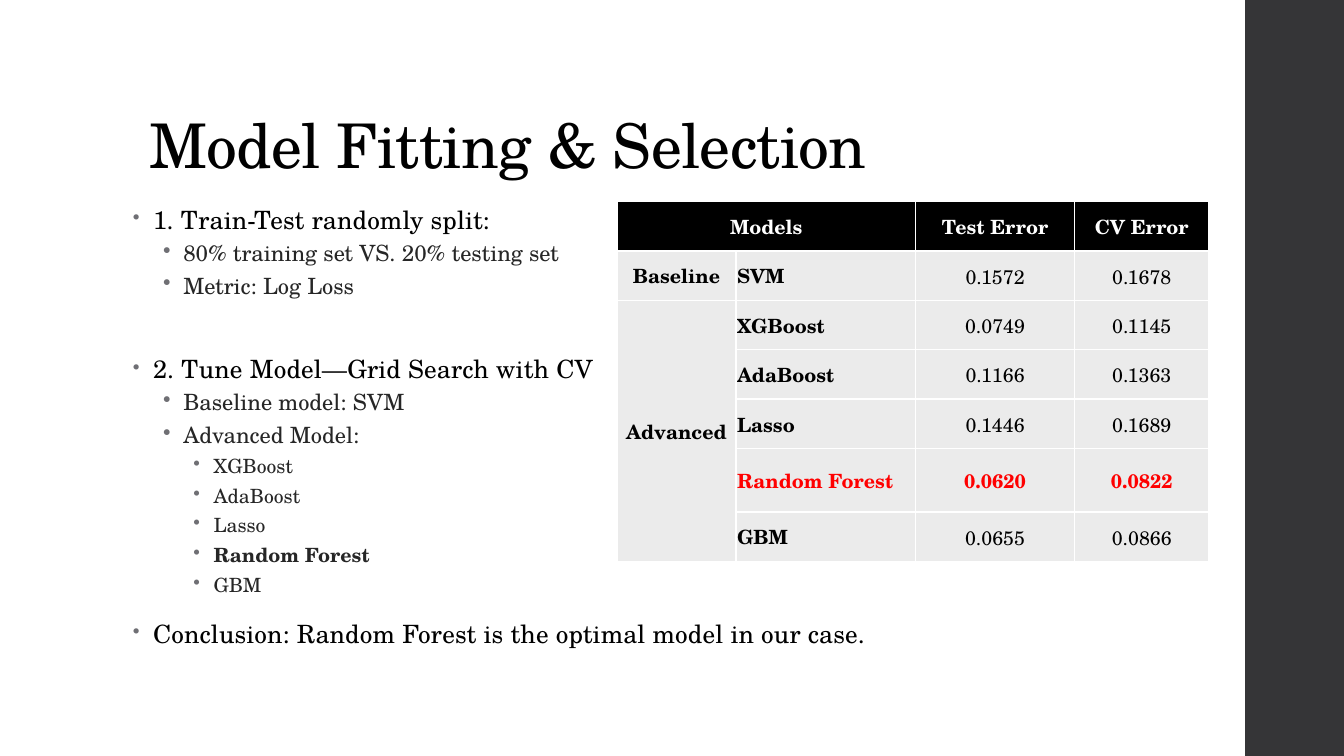
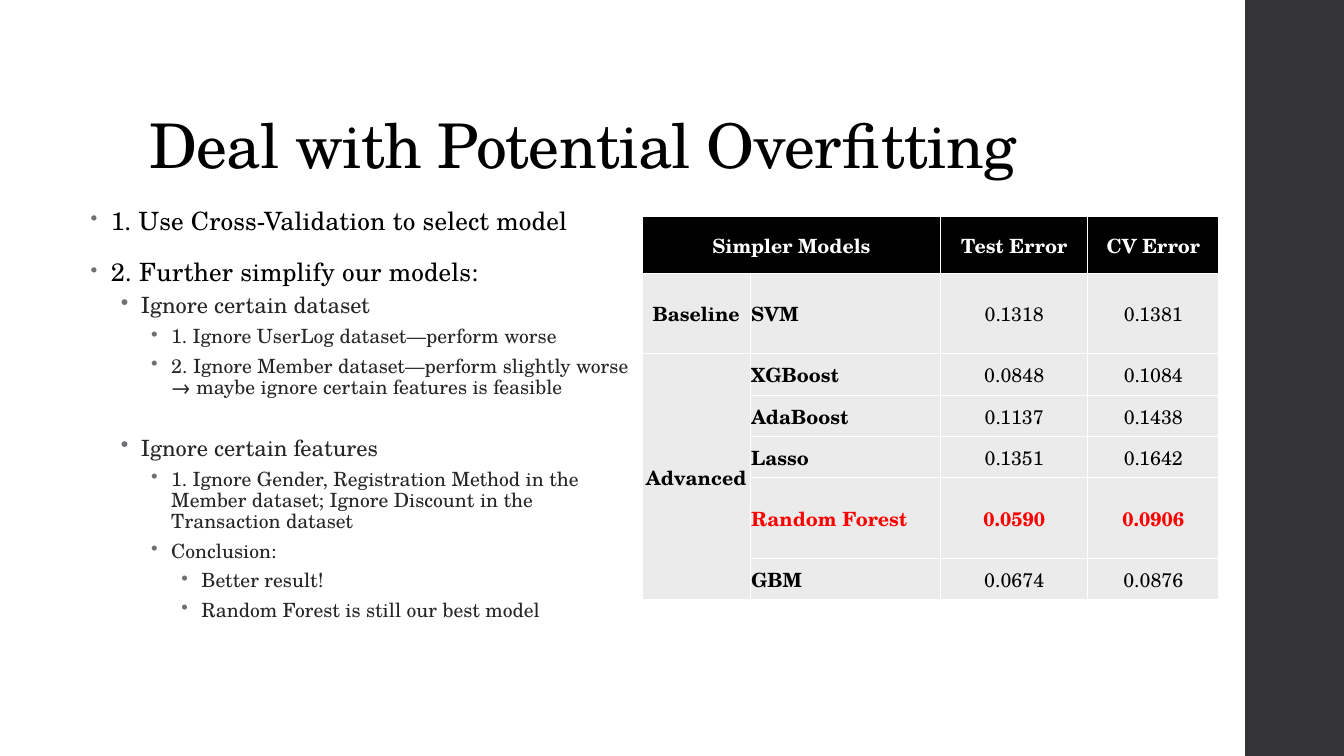
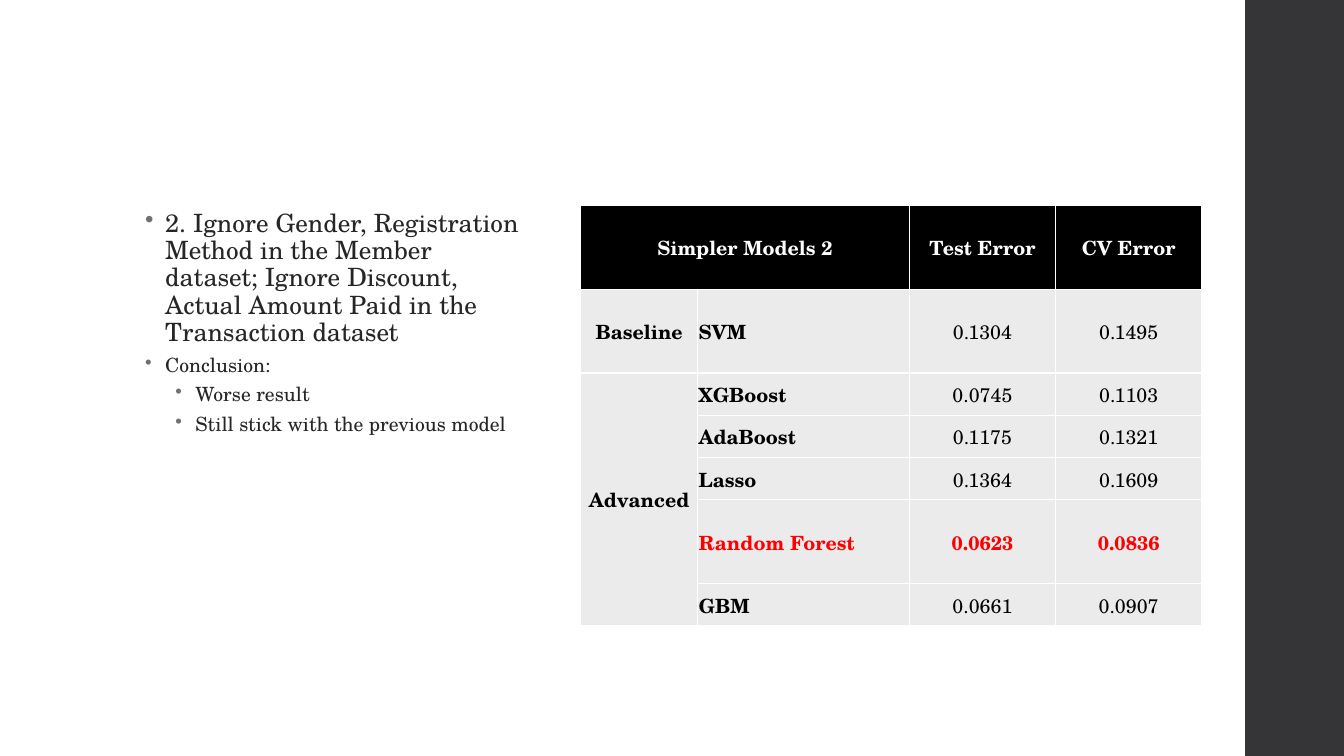
from lxml import etree
from pptx import Presentation
from pptx.dml import color as dml
from pptx.enum import shapes, text
from pptx.oxml import ns
from pptx.util import Inches, Pt

FONT = "TeX Gyre Schola"
BLACK, WHITE, RED = "000000", "FFFFFF", "FF0000"
BAND, BODY_TEXT, BULLET, CELL = "353537", "262626", "6F6F74", "EBEBEB"
MODELS = ["SVM", "XGBoost", "AdaBoost", "Lasso", "Random Forest", "GBM"]
BEST = "Random Forest"

LEVELS = [
    dict(size=18, color=BLACK, spacing=10, line=0.95, before=14, after=2, bullet=80),
    dict(size=16, color=BODY_TEXT, spacing=0, line=0.9, before=3, after=3, bullet=100),
    dict(size=14, color=BODY_TEXT, spacing=0, line=0.9, before=3, after=3, bullet=100),
    dict(size=14, color=BODY_TEXT, spacing=0, line=0.9, before=3, after=3, bullet=100),
]

SLIDES = [
    dict(
        title="Model Fitting & Selection",
        outline_at=(1.22, 2, 9.4, 4.76),
        outline=[
            (0, "1. Train-Test randomly split:", {}),
            (1, "80% training set VS. 20% testing set", {}),
            (1, "Metric: Log Loss", {}),
            (0, "2. Tune Model—Grid Search with CV", dict(before=37.5)),
            (1, "Baseline model: SVM", {}),
            (1, "Advanced Model:", {}),
            (2, "XGBoost", {}),
            (2, "AdaBoost", {}),
            (2, "Lasso", {}),
            (2, "Random Forest", dict(bold=True)),
            (2, "GBM", {}),
            (0, "Conclusion: Random Forest is the optimal model in our case.", {}),
        ],
        heading="Models",
        table_at=(6.12, 2),
        widths=[1.18, 1.78, 1.58, 1.33],
        heights=[0.49, 0.49, 0.49, 0.49, 0.49, 0.63, 0.49],
        test=["0.1572", "0.0749", "0.1166", "0.1446", "0.0620", "0.0655"],
        cv=["0.1678", "0.1145", "0.1363", "0.1689", "0.0822", "0.0866"],
    ),
    dict(
        title="Deal with Potential Overfitting",
        outline_at=(0.8, 2.01, 5.58, 4.76),
        outline=[
            (0, "1. Use Cross-Validation to select model", {}),
            (0, "2. Further simplify our models:", {}),
            (1, "Ignore certain dataset", {}),
            (2, "1. Ignore UserLog dataset—perform worse", {}),
            (2, "2. Ignore Member dataset—perform slightly worse → maybe ignore "
                "certain features is feasible", {}),
            (1, "Ignore certain features", dict(before=24)),
            (2, "1. Ignore Gender, Registration Method in the Member dataset; "
                "Ignore Discount in the Transaction dataset", {}),
            (2, "Conclusion:", {}),
            (3, "Better result!", {}),
            (3, "Random Forest is still our best model", {}),
        ],
        heading="Simpler Models",
        table_at=(6.37, 2.15),
        widths=[1.07, 1.89, 1.46, 1.3],
        heights=[0.56, 0.8, 0.41, 0.41, 0.41, 0.8, 0.41],
        test=["0.1318", "0.0848", "0.1137", "0.1351", "0.0590", "0.0674"],
        cv=["0.1381", "0.1084", "0.1438", "0.1642", "0.0906", "0.0876"],
    ),
    dict(
        title=None,
        outline_at=(0.74, 2.04, 4.63, 4.76),
        outline=[
            (2, "2. Ignore Gender, Registration Method in the Member dataset; "
                "Ignore Discount, Actual Amount Paid in the Transaction dataset",
             dict(size=18)),
            (2, "Conclusion:", {}),
            (3, "Worse result", {}),
            (3, "Still stick with the previous model", {}),
        ],
        heading="Simpler Models 2",
        table_at=(5.76, 2.04),
        widths=[1.16, 2.1, 1.45, 1.45],
        heights=[0.83, 0.83, 0.42, 0.42, 0.42, 0.83, 0.42],
        test=["0.1304", "0.0745", "0.1175", "0.1364", "0.0623", "0.0661"],
        cv=["0.1495", "0.1103", "0.1321", "0.1609", "0.0836", "0.0907"],
    ),
]


def rgb(value):
    return dml.RGBColor.from_string(value)


def add_run(paragraph, words, size, color, bold=False, spacing=0):
    run = paragraph.add_run()
    run.text = words
    run.font.name = FONT
    run.font.size = Pt(size)
    run.font.bold = bold
    run.font.color.rgb = rgb(color)
    run.font._element.set("spc", str(spacing))


prs = Presentation()
prs.slide_width, prs.slide_height = Inches(13.33), Inches(7.5)
TITLE_ONLY, BLANK = prs.slide_layouts[5], prs.slide_layouts[6]

for content in SLIDES:
    slide = prs.slides.add_slide(TITLE_ONLY if content["title"] else BLANK)

    band = slide.shapes.add_shape(
        shapes.MSO_SHAPE.RECTANGLE, Inches(12.35), 0, Inches(0.98), Inches(7.5))
    band.shadow.inherit = False
    band.fill.solid()
    band.fill.fore_color.rgb = rgb(BAND)
    band.line.fill.background()

    if content["title"]:
        title = slide.shapes.title
        title.left, title.top = Inches(1.38), Inches(0.4)
        title.width, title.height = Inches(10.6), Inches(1.45)
        frame = title.text_frame
        frame.word_wrap = True
        frame.auto_size = text.MSO_AUTO_SIZE.NONE
        frame.vertical_anchor = text.MSO_ANCHOR.BOTTOM
        frame.paragraphs[0].alignment = text.PP_ALIGN.LEFT
        frame.paragraphs[0].line_spacing = 0.9
        add_run(frame.paragraphs[0], content["title"], 44, BLACK, spacing=-50)

    outline = slide.shapes.add_textbox(*map(Inches, content["outline_at"])).text_frame
    outline.word_wrap = True
    for i, (level, words, changes) in enumerate(content["outline"]):
        style = {**LEVELS[level], **changes}
        point = outline.add_paragraph() if i else outline.paragraphs[0]
        point.level = level
        point.line_spacing = style["line"]
        point.space_before = Pt(style["before"])
        point.space_after = Pt(style["after"])
        props = point._p.get_or_add_pPr()
        props.set("marL", str(Inches(0.2 + 0.3 * level)))
        props.set("indent", str(Inches(-0.2)))
        tint = etree.SubElement(props, ns.qn("a:buClr"))
        etree.SubElement(tint, ns.qn("a:srgbClr"), val=BULLET)
        etree.SubElement(props, ns.qn("a:buSzPct"), val=str(style["bullet"] * 1000))
        etree.SubElement(props, ns.qn("a:buChar"), char="•")
        add_run(point, words, style["size"], style["color"],
                style.get("bold", False), style["spacing"])

    widths, heights = content["widths"], content["heights"]
    errors = slide.shapes.add_table(
        len(heights), len(widths), *map(Inches, content["table_at"]),
        Inches(sum(widths)), Inches(sum(heights))).table
    errors.first_row = errors.horz_banding = False
    for column, width in zip(errors.columns, widths):
        column.width = Inches(width)
    for row, height in zip(errors.rows, heights):
        row.height = Inches(height)
    errors.cell(0, 0).merge(errors.cell(0, 1))
    errors.cell(2, 0).merge(errors.cell(6, 0))

    groups = ["Baseline", "Advanced", "", "", "", ""]
    grid = [(content["heading"], "", "Test Error", "CV Error")]
    grid += zip(groups, MODELS, content["test"], content["cv"])
    for r, row in enumerate(grid):
        for c, words in enumerate(row):
            cell = errors.cell(r, c)
            cell.margin_left = cell.margin_right = cell.margin_top = Inches(0.01)
            cell.margin_bottom = 0
            cell.vertical_anchor = text.MSO_ANCHOR.MIDDLE
            for side in ("a:lnL", "a:lnR", "a:lnT", "a:lnB"):
                border = etree.SubElement(
                    cell._tc.get_or_add_tcPr(), ns.qn(side), w=str(Pt(1)))
                ink = etree.SubElement(border, ns.qn("a:solidFill"))
                etree.SubElement(ink, ns.qn("a:srgbClr"), val=WHITE)
            cell.fill.solid()
            cell.fill.fore_color.rgb = rgb(CELL if r else BLACK)
            if not words:
                continue
            best = row[1] == BEST and c > 0
            color = WHITE if r == 0 else RED if best else BLACK
            entry = cell.text_frame.paragraphs[0]
            entry.alignment = text.PP_ALIGN.LEFT if c == 1 else text.PP_ALIGN.CENTER
            add_run(entry, words, 14, color, bold=r == 0 or c < 2 or best)

prs.save("out.pptx")
